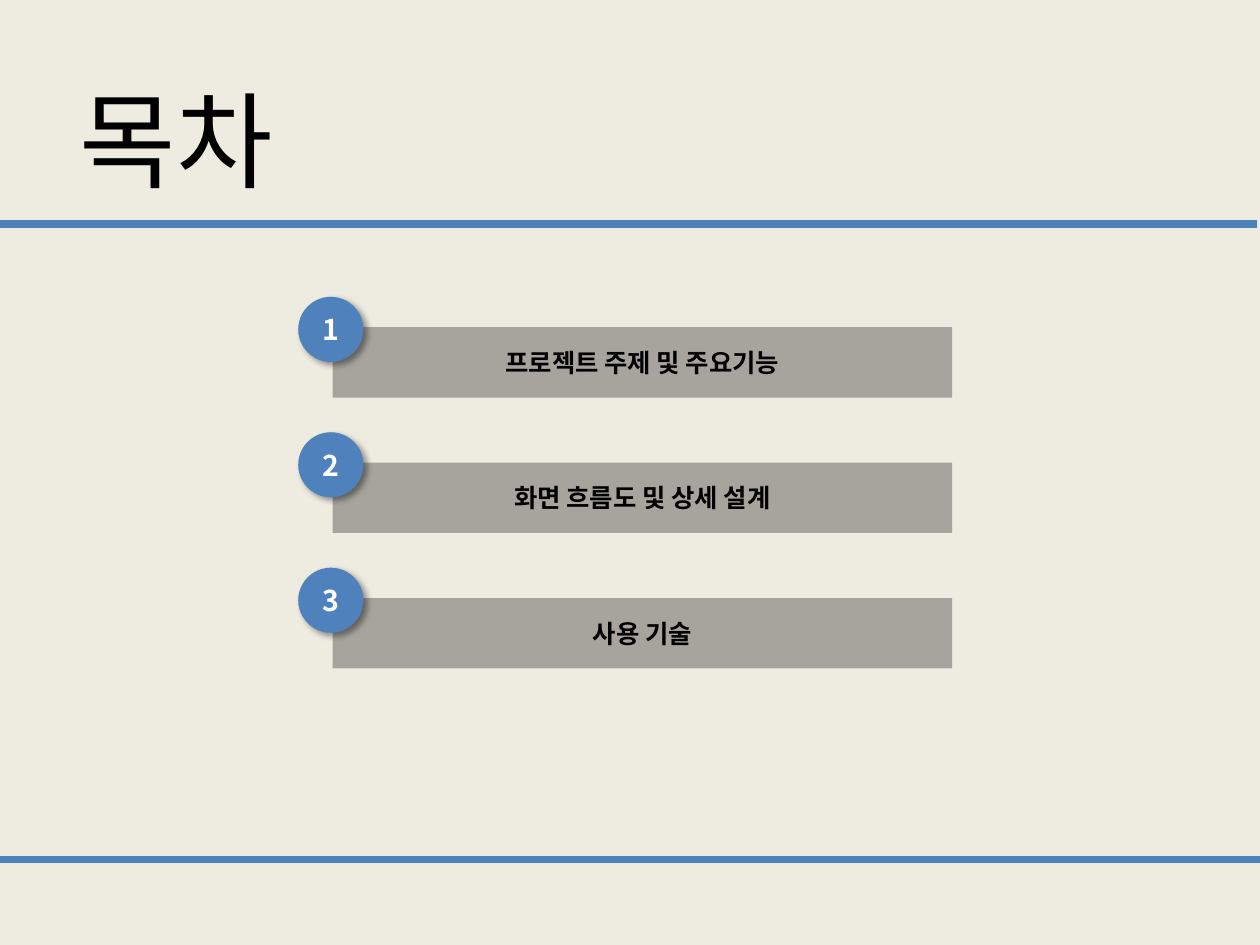
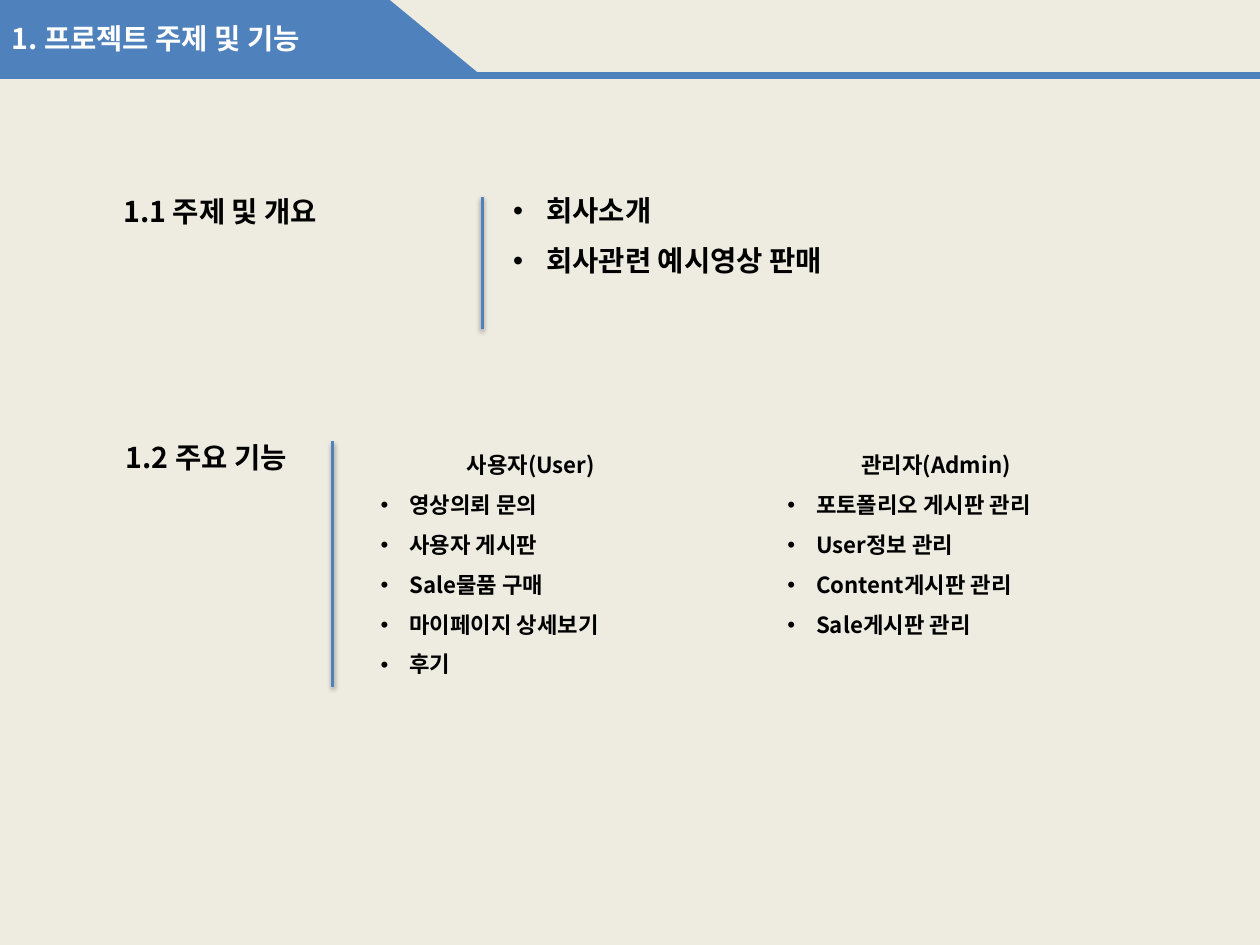
"""Build a contents slide and a project overview slide on a shared percentage grid."""
from dataclasses import dataclass

from lxml import etree
from pptx import Presentation
from pptx.dml.color import RGBColor
from pptx.enum.shapes import MSO_CONNECTOR, MSO_SHAPE
from pptx.enum.text import MSO_ANCHOR, MSO_AUTO_SIZE, PP_ALIGN
from pptx.oxml.ns import qn
from pptx.util import Cm, Emu, Inches, Pt

LEFT, CENTER = PP_ALIGN.LEFT, PP_ALIGN.CENTER
TOP, MIDDLE = MSO_ANCHOR.TOP, MSO_ANCHOR.MIDDLE
NO_FIT = MSO_AUTO_SIZE.NONE
RECT, OVAL = MSO_SHAPE.RECTANGLE, MSO_SHAPE.OVAL
STRAIGHT = MSO_CONNECTOR.STRAIGHT
TITLE_ONLY, COMPARISON = 5, 4

COLORS = {"paper": "EEECE1", "accent": "4F81BD", "ink": "000000", "white": "FFFFFF"}
LATO, NOTO = "Lato", "Noto Sans CJK KR"
WIDTH, HEIGHT = Cm(28), Cm(21)
COLS = ROWS = 100
RULE_WEIGHT, DIVIDER_WEIGHT = 4.51, 2


@dataclass(frozen=True)
class Box:
    x: float
    y: float
    w: float
    h: float

    def emu(self) -> tuple:
        return col(self.x), row(self.y), col(self.w), row(self.h)


@dataclass(frozen=True)
class Style:
    size: float
    font: str = NOTO
    color: str = "ink"
    bold: bool = True
    align: int = LEFT
    anchor: int = TOP
    wrap: bool = True


@dataclass(frozen=True)
class Para:
    text: str
    indent: float = 0
    before: float = 0
    spacing: float = 1
    align: int | None = None


@dataclass(frozen=True)
class Shadow:
    alpha: int
    blur: float
    dist: float
    angle: int


@dataclass(frozen=True)
class Section:
    text: str
    box: Box
    line_x: float
    line_top: float
    line_end: float


BADGE_SHADOW = Shadow(40, 4, 3, 45)
LINE_SHADOW = Shadow(38, 3.1, 1.6, 90)

COVER_TITLE = Style(66, LATO, bold=False)
TAB_TITLE = Style(18, color="white", anchor=MIDDLE)
BADGE = Style(18, color="white", align=CENTER, anchor=MIDDLE)
HEADING = Style(18, wrap=False)
OVERVIEW, FEATURE = Style(18), Style(14)

TOPICS = [("프로젝트 주제 및 주요기능", LATO), ("화면 흐름도 및 상세 설계", LATO), ("사용 기술", NOTO)]
TOPIC_BAR = Box(26.4, 34.62, 49.17, 7.45)
TOPIC_BADGE = Box(23.67, 31.41, 5.17, 6.89)
TOPIC_PITCH = 14.33

TAB = Box(0, 0, 38.19, 7.98)
TAB_TOP_WIDTH = 30.93
SECTIONS = [
    Section("1.1 주제 및 개요", Box(8.89, 19.96, 18.69, 4.84), 38.28, 20.8, 34.83),
    Section("1.2 주요 기능", Box(9.07, 45.96, 15.6, 4.84), 26.4, 46.69, 72.69),
]


def feature_list(head: str, *items: str) -> list[Para]:
    return [Para(head, before=10, align=CENTER)] + [Para(t, 0.25, 10, 0.9) for t in items]


LISTS = [
    (Box(39.82, 19.83, 55.43, 17.66), OVERVIEW,
     [Para(t, 0.29, 10) for t in ("회사소개", "회사관련 예시영상 판매")]),
    (Box(29.3, 47.17, 25.67, 25.64), FEATURE,
     feature_list("사용자(User)", "영상의뢰 문의", "사용자 게시판", "Sale물품 구매",
                  "마이페이지 상세보기", "후기")),
    (Box(61.59, 47.17, 25.4, 22.74), FEATURE,
     feature_list("관리자(Admin)", "포토폴리오 게시판 관리", "User정보 관리",
                  "Content게시판 관리", "Sale게시판 관리")),
]


def col(n: float) -> Emu:
    return Emu(round(WIDTH * n / COLS))


def row(n: float) -> Emu:
    return Emu(round(HEIGHT * n / ROWS))


def rgb(name: str) -> RGBColor:
    return RGBColor.from_string(COLORS[name])


def set_all(obj, values: dict) -> None:
    for name, value in values.items():
        setattr(obj, name, value)


def sub(parent, tag: str, **attrs):
    return etree.SubElement(parent, qn(tag), {k: str(v) for k, v in attrs.items()})


def set_bullet(p, indent: float) -> None:
    pPr = p._p.get_or_add_pPr()
    pPr.set("marL", str(Inches(indent)))
    pPr.set("indent", str(-Inches(indent)))
    if indent:
        sub(sub(pPr, "a:buClr"), "a:srgbClr", val=COLORS["ink"])
        sub(pPr, "a:buChar", char="•")
    else:
        sub(pPr, "a:buNone")


def write(sp, paras: list[Para], style: Style) -> None:
    tf = sp.text_frame
    set_all(tf, {"word_wrap": style.wrap, "auto_size": NO_FIT, "vertical_anchor": style.anchor,
                 "margin_left": Inches(0.1), "margin_right": Inches(0.1),
                 "margin_top": Inches(0.05), "margin_bottom": Inches(0.05)})
    for i, para in enumerate(paras):
        p = tf.add_paragraph() if i else tf.paragraphs[0]
        set_all(p, {"alignment": para.align or style.align, "line_spacing": para.spacing,
                    "space_before": Pt(para.before), "space_after": Pt(0)})
        set_bullet(p, para.indent)
        r = p.add_run()
        r.text = para.text
        set_all(r.font, {"size": Pt(style.size), "bold": style.bold, "name": style.font})
        r.font.color.rgb = rgb(style.color)
        sub(r.font._element, "a:ea", typeface=NOTO)


def place(sp, box: Box, paras: list[Para], style: Style) -> None:
    set_all(sp, dict(zip(("left", "top", "width", "height"), box.emu())))
    write(sp, paras, style)


def set_shadow(sp, shadow: Shadow | None) -> None:
    effects = sub(sp.element.spPr, "a:effectLst")
    if shadow:
        outer = sub(effects, "a:outerShdw", blurRad=Pt(shadow.blur), dist=Pt(shadow.dist),
                    dir=shadow.angle * 60000, algn="ctr", rotWithShape=0)
        sub(sub(outer, "a:srgbClr", val=COLORS["ink"]), "a:alpha", val=shadow.alpha * 1000)


def paint(sp, color: str, alpha: int = 100, shadow: Shadow | None = None) -> None:
    sp.fill.solid()
    sp.fill.fore_color.rgb = rgb(color)
    if alpha < 100:
        clr = sp.element.spPr.find(qn("a:solidFill")).find(qn("a:srgbClr"))
        sub(clr, "a:alpha", val=alpha * 1000)
    sp.line.fill.background()
    set_shadow(sp, shadow)


def add_line(s, x1: float, y1: float, x2: float, y2: float, weight: float,
             shadow: Shadow | None = None) -> None:
    line = s.shapes.add_connector(STRAIGHT, col(x1), row(y1), col(x2), row(y2))
    line.line.color.rgb = rgb("accent")
    line.line.width = Pt(weight)
    set_shadow(line, shadow)


def add_topic(s, i: int, text: str, font: str) -> None:
    step = i * TOPIC_PITCH
    bar, badge = (Box(b.x, b.y + step, b.w, b.h) for b in (TOPIC_BAR, TOPIC_BADGE))
    sp = s.shapes.add_shape(RECT, *bar.emu())
    paint(sp, "ink", alpha=30)
    write(sp, [Para(text)], Style(16, font, align=CENTER, anchor=MIDDLE))
    sp = s.shapes.add_shape(OVAL, *badge.emu())
    paint(sp, "accent", shadow=BADGE_SHADOW)
    write(sp, [Para(str(i + 1))], BADGE)


def add_tab(s, title: str) -> None:
    fb = s.shapes.build_freeform(0, 0)
    fb.add_line_segments([(col(TAB_TOP_WIDTH), 0), (col(TAB.w), row(TAB.h)), (0, row(TAB.h))])
    paint(fb.convert_to_shape(), "accent")
    place(s.shapes.title, TAB, [Para(title)], TAB_TITLE)
    s.shapes.element.append(s.shapes.title.element)


def contents_slide(prs) -> None:
    s = prs.slides.add_slide(prs.slide_layouts[TITLE_ONLY])
    add_line(s, 0, 90.93, COLS, 90.93, RULE_WEIGHT)
    add_line(s, -0.27, 23.7, 99.78, 23.7, RULE_WEIGHT)
    place(s.shapes.title, Box(5.44, 7.38, 53.79, 14.51), [Para("목차")], COVER_TITLE)
    for i, (text, font) in enumerate(TOPICS):
        add_topic(s, i, text, font)


def project_slide(prs) -> None:
    s = prs.slides.add_slide(prs.slide_layouts[COMPARISON])
    add_line(s, 0, TAB.h, COLS, TAB.h, RULE_WEIGHT)
    add_tab(s, "1. 프로젝트 주제 및 기능")
    bodies = [sp for sp in s.placeholders if sp.placeholder_format.idx in range(1, 5)]
    for sp, (box, style, paras) in zip(bodies, LISTS):
        place(sp, box, paras, style)
    for sp in bodies[len(LISTS):]:
        s.shapes.element.remove(sp.element)
    for sec in SECTIONS:
        write(s.shapes.add_textbox(*sec.box.emu()), [Para(sec.text)], HEADING)
        add_line(s, sec.line_x, sec.line_top, sec.line_x, sec.line_end,
                 DIVIDER_WEIGHT, LINE_SHADOW)


def main() -> None:
    prs = Presentation()
    set_all(prs, {"slide_width": WIDTH, "slide_height": HEIGHT})
    fill = prs.slide_master.background.fill
    fill.solid()
    fill.fore_color.rgb = rgb("paper")
    contents_slide(prs)
    project_slide(prs)
    prs.save("out.pptx")


main()
